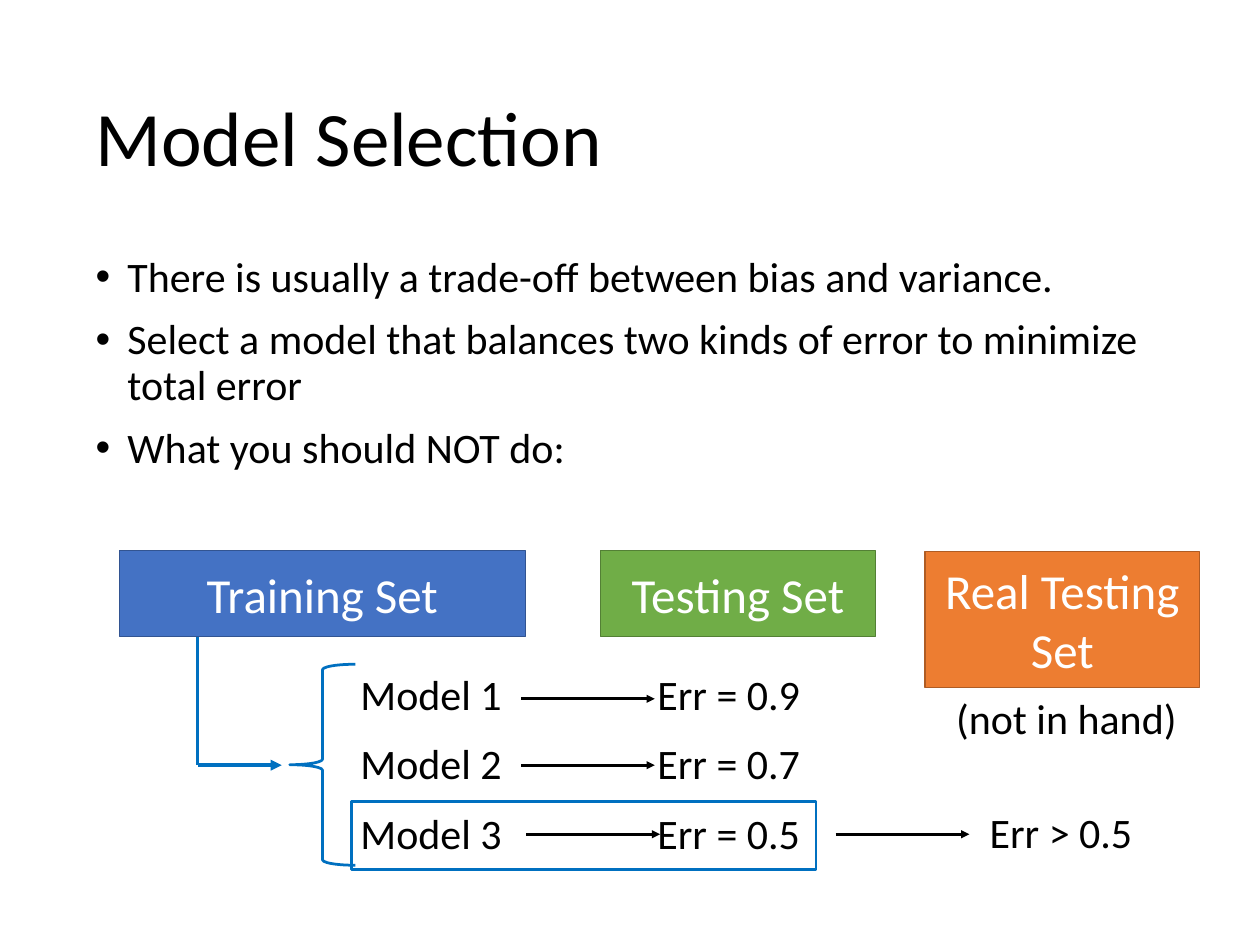
from dataclasses import dataclass
from typing import Any, Optional

import lxml.etree
import pptx
import pptx.dml.color
import pptx.enum.shapes
import pptx.enum.text
import pptx.oxml.ns
import pptx.util

ALIGN = pptx.enum.text.PP_ALIGN
ANCHOR = pptx.enum.text.MSO_ANCHOR
FIT = pptx.enum.text.MSO_AUTO_SIZE
SHAPE = pptx.enum.shapes.MSO_SHAPE
WIDTH, HEIGHT = pptx.util.Inches(14.22), pptx.util.Inches(10.67)


@dataclass(frozen=True)
class Theme:
    font: str = "Calibri"
    title_size: float = 62.6
    set_size: float = 39.8
    body_size: float = 34.1
    black: str = "000000"
    white: str = "FFFFFF"
    accent: str = "0070C0"
    training: tuple[str, str] = ("4472C4", "325491")
    testing: tuple[str, str] = ("70AD47", "538035")
    real: tuple[str, str] = ("ED7D31", "AF5C24")


@dataclass(frozen=True)
class Area:
    """A rectangle in percent of the slide's width and height."""
    left: float
    top: float
    width: float
    height: float

    def emu(self) -> tuple[int, int, int, int]:
        return across(self.left), down(self.top), across(self.width), down(self.height)


@dataclass(frozen=True)
class DataSet:
    name: str
    area: Area
    colors: tuple[str, str]


@dataclass(frozen=True)
class Label:
    text: str
    area: Area
    align: Any = ALIGN.LEFT


@dataclass(frozen=True)
class Link:
    start: tuple[float, float]
    end: tuple[float, float]
    color: str
    weight: float
    arrow: bool = True


THEME = Theme()

BULLETS = [
    "There is usually a trade-off between bias and variance.",
    "Select a model that balances two kinds of error to minimize total error",
    "What you should NOT do:",
]

DATA_SETS = [
    DataSet("Training Set", Area(9.49, 58.29, 32.21, 9.09), THEME.training),
    DataSet("Testing Set", Area(47.68, 58.29, 21.8, 9.09), THEME.testing),
    DataSet("Real Testing Set", Area(73.42, 58.39, 21.8, 14.34), THEME.real),
]

MODEL_TOP, MODEL_PITCH, LABEL_HEIGHT = 70.29, 7.33, 6.37
ERRORS = ["0.9", "0.7", "0.5"]
LABELS = [
    Label("(not in hand)", Area(74.05, 72.82, 21.17, LABEL_HEIGHT), ALIGN.CENTER),
    Label("Err > 0.5", Area(77.85, 84.91, 14.91, LABEL_HEIGHT)),
]
for row, error in enumerate(ERRORS):
    top = MODEL_TOP + row * MODEL_PITCH
    LABELS += [
        Label(f"Model {row + 1}", Area(27.92, top, 13.78, LABEL_HEIGHT)),
        Label(f"Err = {error}", Area(51.48, top, 14.91, LABEL_HEIGHT)),
    ]

ARROW_LENGTH = 10.62
ARROW_STARTS = [(41.35, 73.95), (41.35, 80.97), (41.77, 88.28), (66.32, 88.28)]
LINKS = [
    Link((15.68, 67.39), (15.68, 80.97), THEME.accent, 3, arrow=False),
    Link((15.68, 80.97), (22.36, 80.97), THEME.accent, 3),
] + [
    Link((x, y), (x + ARROW_LENGTH, y), THEME.black, 2.25) for x, y in ARROW_STARTS
]

MODELS_BRACE = Area(23, 70.29, 5.2, 21.27)
CHOSEN_MODEL = Area(27.92, 84.82, 36.85, 7.22)


def across(percent: float) -> int:
    return round(WIDTH * percent / 100)


def down(percent: float) -> int:
    return round(HEIGHT * percent / 100)


def rgb(color: str) -> Any:
    return pptx.dml.color.RGBColor.from_string(color)


def apply(target: Any, formats: dict[str, Any]) -> None:
    for attribute, value in formats.items():
        setattr(target, attribute, value)


def write(paragraph: Any, text: str, size: float, color: str, **formats: Any) -> None:
    paragraph.text = text
    apply(paragraph, formats)
    apply(paragraph.font, {"name": THEME.font, "size": pptx.util.Pt(size)})
    paragraph.font.color.rgb = rgb(color)


def add_text_frame(slide: Any, area: Area, **formats: Any) -> Any:
    frame = slide.shapes.add_textbox(*area.emu()).text_frame
    apply(frame, {"word_wrap": True, **formats})
    return frame


def add_bullet(paragraph: Any) -> None:
    indent = pptx.util.Inches(0.36)
    properties = paragraph._p.get_or_add_pPr()
    properties.set("marL", str(indent))
    properties.set("indent", str(-indent))
    for tag, key, value in (("a:buFont", "typeface", "Arial"), ("a:buChar", "char", "•")):
        lxml.etree.SubElement(properties, pptx.oxml.ns.qn(tag)).set(key, value)


def add_figure(slide: Any, preset: Any, area: Area, line: str, weight: float,
               fill: Optional[str] = None) -> Any:
    figure = slide.shapes.add_shape(preset, *area.emu())
    figure.shadow.inherit = False
    if fill:
        figure.fill.solid()
        figure.fill.fore_color.rgb = rgb(fill)
    else:
        figure.fill.background()
    figure.line.color.rgb = rgb(line)
    figure.line.width = pptx.util.Pt(weight)
    return figure


def add_data_set(slide: Any, data_set: DataSet) -> None:
    fill, line = data_set.colors
    frame = add_figure(slide, SHAPE.RECTANGLE, data_set.area, line, 1, fill).text_frame
    apply(frame, {"word_wrap": True, "vertical_anchor": ANCHOR.MIDDLE})
    write(frame.paragraphs[0], data_set.name, THEME.set_size, THEME.white,
          alignment=ALIGN.CENTER)


def add_link(slide: Any, link: Link) -> None:
    (x1, y1), (x2, y2) = link.start, link.end
    connector = slide.shapes.add_connector(
        pptx.enum.shapes.MSO_CONNECTOR.STRAIGHT, across(x1), down(y1), across(x2), down(y2))
    connector.line.color.rgb = rgb(link.color)
    connector.line.width = pptx.util.Pt(link.weight)
    qn = pptx.oxml.ns.qn
    properties = connector._element.spPr
    if link.arrow:
        outline = properties.find(qn("a:ln"))
        lxml.etree.SubElement(outline, qn("a:tailEnd")).set("type", "triangle")
    lxml.etree.SubElement(properties, qn("a:effectLst"))


def main() -> None:
    deck = pptx.Presentation()
    apply(deck, {"slide_width": WIDTH, "slide_height": HEIGHT})
    slide = deck.slides.add_slide(deck.slide_layouts[6])

    heading = add_text_frame(slide, Area(6.89, 5.34, 86.29, 19.31),
                             vertical_anchor=ANCHOR.MIDDLE)
    write(heading.paragraphs[0], "Model Selection", THEME.title_size, THEME.black,
          line_spacing=0.9)

    advice = add_text_frame(slide, Area(6.89, 26.62, 86.29, 63.45))
    for index, point in enumerate(BULLETS):
        paragraph = advice.add_paragraph() if index else advice.paragraphs[0]
        add_bullet(paragraph)
        write(paragraph, point, THEME.body_size, THEME.black, line_spacing=0.9,
              space_before=pptx.util.Pt(14.2 if index else 0))

    for data_set in DATA_SETS:
        add_data_set(slide, data_set)
    for label in LABELS:
        frame = add_text_frame(slide, label.area, auto_size=FIT.SHAPE_TO_FIT_TEXT)
        write(frame.paragraphs[0], label.text, THEME.body_size, THEME.black,
              alignment=label.align)
    add_figure(slide, SHAPE.LEFT_BRACE, MODELS_BRACE, THEME.accent, 2.25)
    for link in LINKS:
        add_link(slide, link)
    add_figure(slide, SHAPE.RECTANGLE, CHOSEN_MODEL, THEME.accent, 2.25)

    deck.save("out.pptx")


if __name__ == "__main__":
    main()
